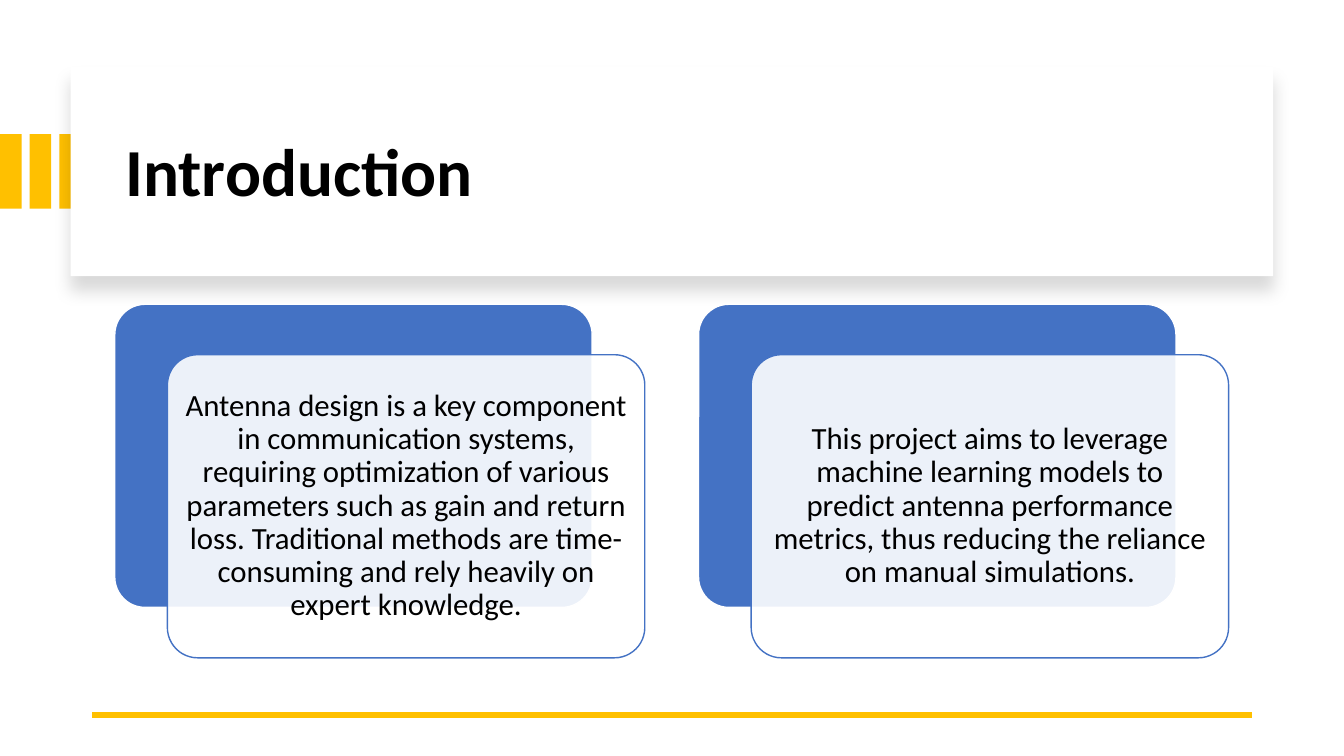
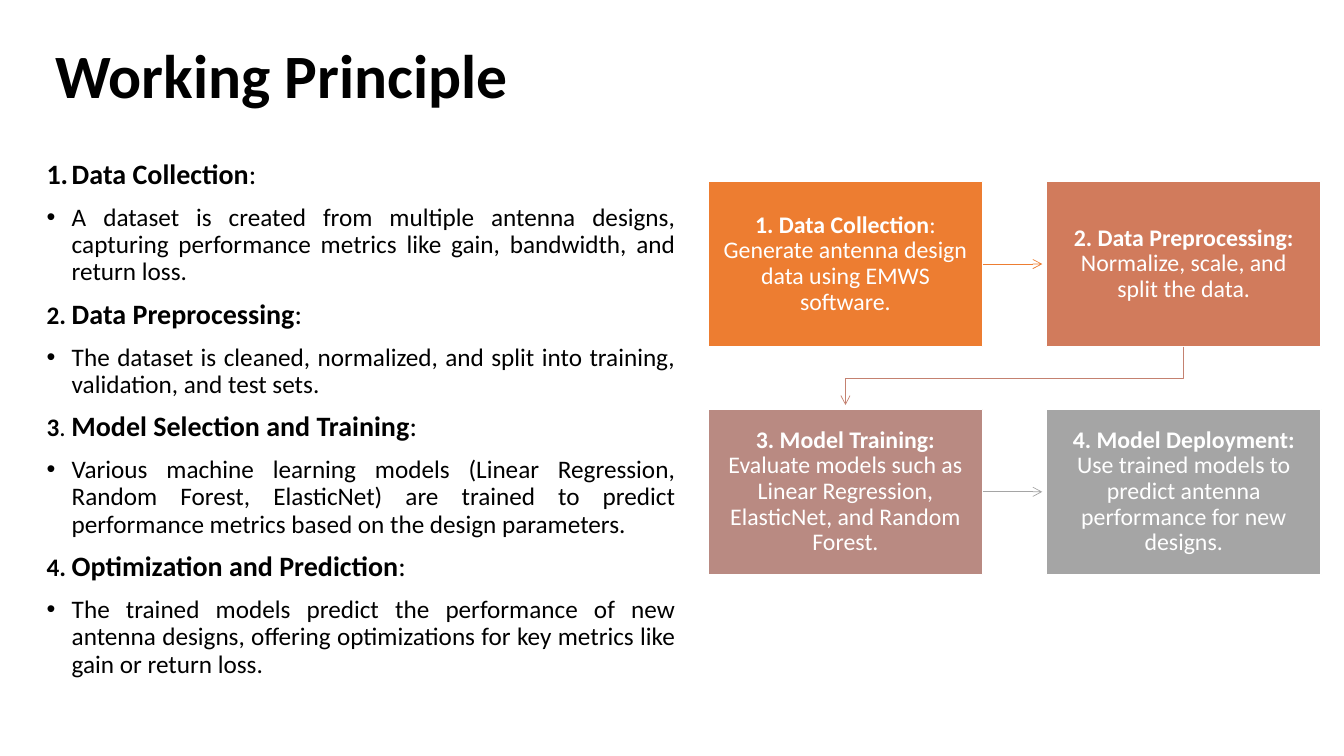
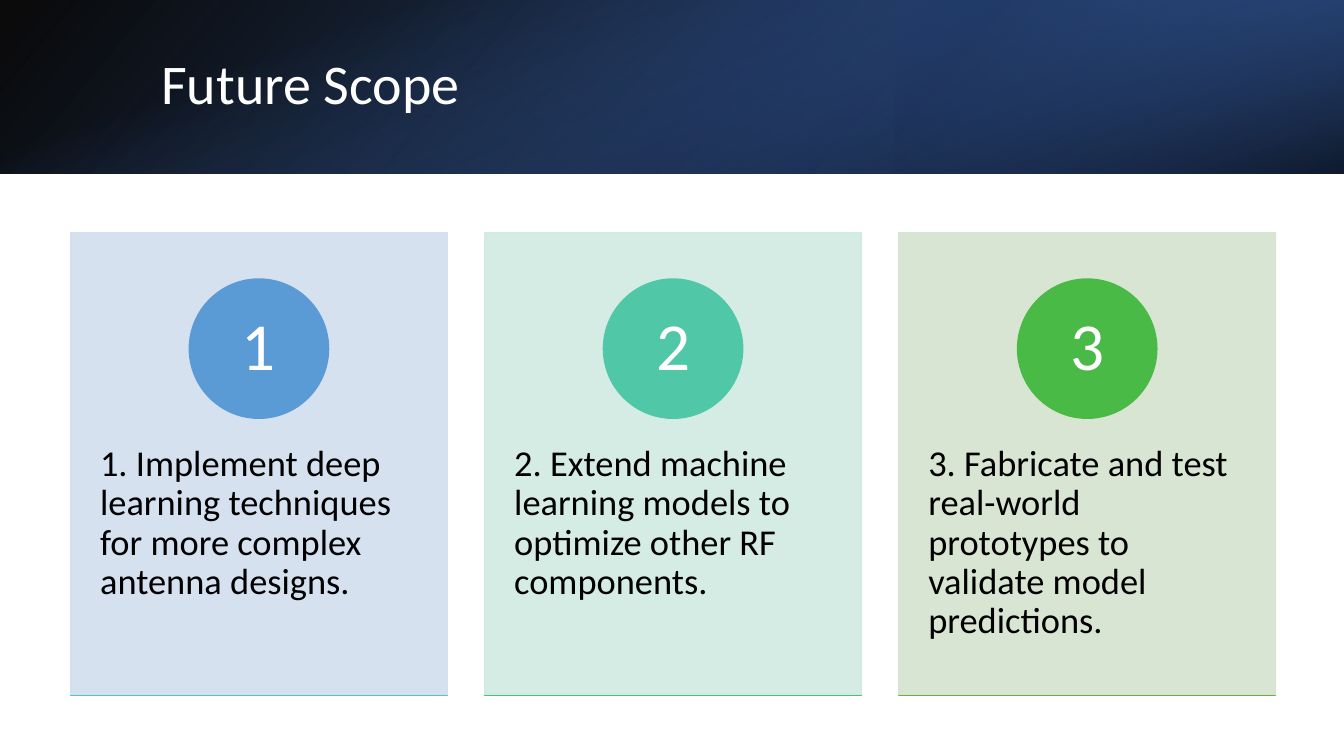
from lxml import etree
from pptx import Presentation
from pptx.dml.color import RGBColor
from pptx.enum.shapes import MSO_CONNECTOR, MSO_SHAPE
from pptx.enum.text import MSO_ANCHOR, MSO_AUTO_SIZE, PP_ALIGN
from pptx.oxml import parse_xml
from pptx.oxml.ns import nsdecls, qn
from pptx.util import Pt

RECT, ROUND, OVAL = MSO_SHAPE.RECTANGLE, MSO_SHAPE.ROUNDED_RECTANGLE, MSO_SHAPE.OVAL
STRAIGHT = MSO_CONNECTOR.STRAIGHT
LEFT, MID, JUST = PP_ALIGN.LEFT, PP_ALIGN.CENTER, PP_ALIGN.JUSTIFY
TOP, CENTER = MSO_ANCHOR.TOP, MSO_ANCHOR.MIDDLE
FIXED = MSO_AUTO_SIZE.NONE

FONT = "Calibri"
BLACK, WHITE, GOLD, BLUE, GRAY = "000000", "FFFFFF", "FFC000", "4472C4", "A5A5A5"


def color(code):
    return RGBColor.from_string(code)


def write(frame, text, new=False, size=18, ink=BLACK, bold=False, align=LEFT,
          before=0, mark=None):
    """Write one paragraph; text is a string or a list of (text, size, bold)."""
    para = frame.add_paragraph() if new else frame.paragraphs[0]
    para.alignment, para.line_spacing = align, 0.9
    para.space_before = Pt(before)
    if mark:
        props = para._p.get_or_add_pPr()
        props.set("marL", str(Pt(18)))
        props.set("indent", str(-Pt(18)))
        if mark == "1.":
            etree.SubElement(props, qn("a:buAutoNum"), type="arabicPeriod")
        else:
            etree.SubElement(props, qn("a:buFont"), typeface="Arial")
            etree.SubElement(props, qn("a:buChar"), char=mark)
    parts = [(text, size, bold)] if isinstance(text, str) else text
    for words, points, heavy in parts:
        run = para.add_run()
        run.text = words
        font = run.font
        font.name, font.size, font.bold = FONT, Pt(points), heavy
        font.color.rgb = color(ink)


class Deck:
    def __init__(self):
        self.file = Presentation()
        self.file.slide_width, self.file.slide_height = Pt(960), Pt(540)
        self.slide = None

    def start(self):
        self.slide = self.file.slides.add_slide(self.file.slide_layouts[5])

    def frame(self, shape, inset=(7.2, 3.6, 7.2, 3.6), anchor=CENTER):
        frame = shape.text_frame
        frame.word_wrap, frame.auto_size = True, FIXED
        frame.vertical_anchor = anchor
        (frame.margin_left, frame.margin_top,
         frame.margin_right, frame.margin_bottom) = map(Pt, inset)
        return frame

    def title(self, text, x, y, w, h, **style):
        shape = self.slide.shapes.title
        shape.left, shape.top, shape.width, shape.height = map(Pt, (x, y, w, h))
        write(self.frame(shape), text, **style)
        # Bring the title in front of the band behind it
        self.slide.shapes.element.append(shape.element)

    def box(self, x, y, w, h, fill, kind=RECT, line=None, alpha=None, round=None):
        shape = self.slide.shapes.add_shape(kind, *map(Pt, (x, y, w, h)))
        shape.shadow.inherit = False
        shape.fill.solid()
        shape.fill.fore_color.rgb = color(fill)
        if line:
            shape.line.color.rgb = color(line)
            shape.line.width = Pt(1)
        else:
            shape.line.fill.background()
        if round:
            shape.adjustments[0] = round
        if alpha:
            for tint in shape.element.spPr.iter(qn("a:srgbClr")):
                if tint.get("val") == fill:
                    etree.SubElement(tint, qn("a:alpha"), val=str(alpha * 1000))
        return shape

    def shade(self, shape):
        effects = shape.element.spPr.find(qn("a:effectLst"))
        effects.append(parse_xml(
            f'<a:outerShdw {nsdecls("a")} blurRad="{Pt(11)}" dist="{Pt(10)}" '
            f'dir="5400000" algn="t" rotWithShape="0"><a:srgbClr val="{BLACK}">'
            '<a:alpha val="15000"/></a:srgbClr></a:outerShdw>'))

    def blend(self, x, y, w, h, stops, angle, turn=0, flip=False):
        shape = self.box(x, y, w, h, BLACK)
        shape.rotation = turn
        props = shape.element.spPr
        if flip:
            props.xfrm.set("flipH", "1")
        marks = "".join(
            f'<a:gs pos="{pos * 1000}"><a:srgbClr val="{code}">'
            f'<a:alpha val="{alpha * 1000}"/></a:srgbClr></a:gs>'
            for pos, code, alpha in stops)
        props.replace(props.find(qn("a:solidFill")), parse_xml(
            f'<a:gradFill {nsdecls("a")} rotWithShape="1"><a:gsLst>{marks}</a:gsLst>'
            f'<a:lin ang="{angle * 60000}" scaled="0"/></a:gradFill>'))

    def line(self, points, ink, width, arrow=False):
        spots = [(Pt(x), Pt(y)) for x, y in points]
        shapes = self.slide.shapes
        if len(spots) == 2:
            shape = shapes.add_connector(STRAIGHT, *spots[0], *spots[1])
            etree.SubElement(shape.element.spPr, qn("a:effectLst"))
        else:
            path = shapes.build_freeform(*spots[0])
            path.add_line_segments(spots[1:], close=False)
            shape = path.convert_to_shape()
            shape.shadow.inherit = False
            shape.fill.background()
        shape.line.color.rgb = color(ink)
        shape.line.width = Pt(width)
        if arrow:
            etree.SubElement(shape.line._get_or_add_ln(), qn("a:tailEnd"), type="arrow")

    def body(self, x, y, w, h):
        shape = self.slide.shapes.add_textbox(*map(Pt, (x, y, w, h)))
        return self.frame(shape, anchor=TOP)


def intro(deck):
    deck.start()
    # Stripes and raised title panel
    for i in range(3):
        deck.box(21.2 * i, 95.8, 15.4, 53.2, GOLD)
    deck.shade(deck.box(50.4, 48, 859, 149.2, WHITE))
    deck.title("Introduction", 82.4, 63.5, 801, 122.4, size=48, bold=True)
    deck.line([(894, 510.5), (66, 510.5)], GOLD, 4.5)
    # Two stacked cards
    cards = [
        "Antenna design is a key component in communication systems, requiring "
        "optimization of various parameters such as gain and return loss. Traditional "
        "methods are time-consuming and rely heavily on expert knowledge.",
        "This project aims to leverage machine learning models to predict antenna "
        "performance metrics, thus reducing the reliance on manual simulations.",
    ]
    for i, text in enumerate(cards):
        x, y, w, h = 82 + 417 * i, 217.4, 341, 216.5
        deck.box(x, y, w, h, BLUE, ROUND, line=WHITE, round=0.1)
        card = deck.box(x + 37.6, y + 36, w, h, WHITE, ROUND, line=BLUE,
                        alpha=90, round=0.1)
        write(deck.frame(card, [6.5] * 4), text, size=22, align=MID)


def work(deck):
    deck.start()
    deck.title("Working Principle", 32.4, 13.7, 489.6, 85, size=44, bold=True)
    # Numbered steps with one bullet each
    steps = [
        ([], "Data Collection",
         "A dataset is created from multiple antenna designs, capturing performance "
         "metrics like gain, bandwidth, and return loss."),
        ([("2. ", 18, True)], "Data Preprocessing",
         "The dataset is cleaned, normalized, and split into training, validation, "
         "and test sets."),
        ([("3", 18, True), (". ", 18, False)], "Model Selection and Training",
         "Various machine learning models (Linear Regression, Random Forest, "
         "ElasticNet) are trained to predict performance metrics based on the design "
         "parameters."),
        ([("4. ", 18, True)], "Optimization and Prediction",
         "The trained models predict the performance of new antenna designs, offering "
         "optimizations for key metrics like gain or return loss."),
    ]
    frame = deck.body(26.2, 110.8, 463.4, 416)
    for i, (label, head, text) in enumerate(steps):
        write(frame, label + [(head, 20, True), (":", 20, False)], new=i > 0,
              align=JUST, before=10 if i else 0, mark=None if label else "1.")
        write(frame, text, new=True, align=JUST, before=10, mark="•")
    # Flow of four boxes in a two by two grid
    x, y, w, h, dx, dy = 505.8, 129.6, 196.2, 118, 241.7, 162.7
    flow = [
        ("ED7D31", "1. Data Collection",
         ": Generate antenna design data using EMWS software."),
        ("D17B5C", "2. Data Preprocessing: ", "Normalize, scale, and split the data."),
        ("B98A82", "3. Model Training: ",
         "Evaluate models such as Linear Regression, ElasticNet, and Random Forest."),
        (GRAY, "4. Model Deployment: ",
         "Use trained models to predict antenna performance for new designs."),
    ]
    for i, (fill, head, text) in enumerate(flow):
        row, col = divmod(i, 2)
        step = deck.box(x + dx * col, y + dy * row, w, h, fill, line=WHITE)
        write(deck.frame(step, [10] * 4),
              [(head, 17, True), (text, 17, False)], ink=WHITE, align=MID)
    # Arrows between the boxes
    for row, ink in enumerate(("ED7D31", GRAY)):
        level = y + h / 2 + dy * row
        deck.line([(x + w, level), (x + dx - 3, level)], ink, 0.5, arrow=True)
    left, right, low = x + w / 2, x + w / 2 + dx, y + h
    turn = low + (dy - h) / 2
    deck.line([(right, low), (right, turn), (left, turn), (left, y + dy - 3)],
              "C48170", 0.5, arrow=True)


def future(deck):
    deck.start()
    # Layered gradient band
    deck.blend(0, 0, 960, 124, [(0, BLACK, 96), (100, "2F5597", 100)], 140, flip=True)
    deck.blend(640, 0, 320, 124, [(19, "203864", 68), (100, BLUE, 79)], 320,
               turn=180, flip=True)
    deck.blend(418, -418, 124, 960, [(23, BLUE, 0), (99, BLACK, 74)], 340, turn=90)
    deck.title("Future Scope", 108, 27.4, 790.6, 69, size=40, ink=WHITE)
    # Three numbered cards
    cards = [
        ("D2DEEF", "5B9BD5", "55C3CF",
         "Implement deep learning techniques for more complex antenna designs."),
        ("D0EAE1", "50C8A7", "4BC174",
         "Extend machine learning models to optimize other RF components."),
        ("D5E3CF", "4ABA46", "70AD47",
         "Fabricate and test real-world prototypes to validate model predictions."),
    ]
    y, w, h, disc = 166.3, 269, 330.3, 99.5
    for i, (pale, full, edge, text) in enumerate(cards):
        x = 50.5 + 295.8 * i
        card = deck.box(x, y, w, h, pale, line=pale, alpha=90)
        write(deck.frame(card, (21, 151.6, 21, 26), TOP), f"{i + 1}. {text}", size=26)
        dot = deck.box(x + (w - disc) / 2, y + 33, disc, disc, full, OVAL, line=full)
        write(deck.frame(dot, (8, 1, 8, 1)), str(i + 1), size=48, ink=WHITE, align=MID)
        # Flat edge strip along the foot of the card
        deck.box(x, y + h, w, 0, edge, line=edge)


def main():
    deck = Deck()
    for build in (intro, work, future):
        build(deck)
    deck.file.save("out.pptx")


if __name__ == "__main__":
    main()
